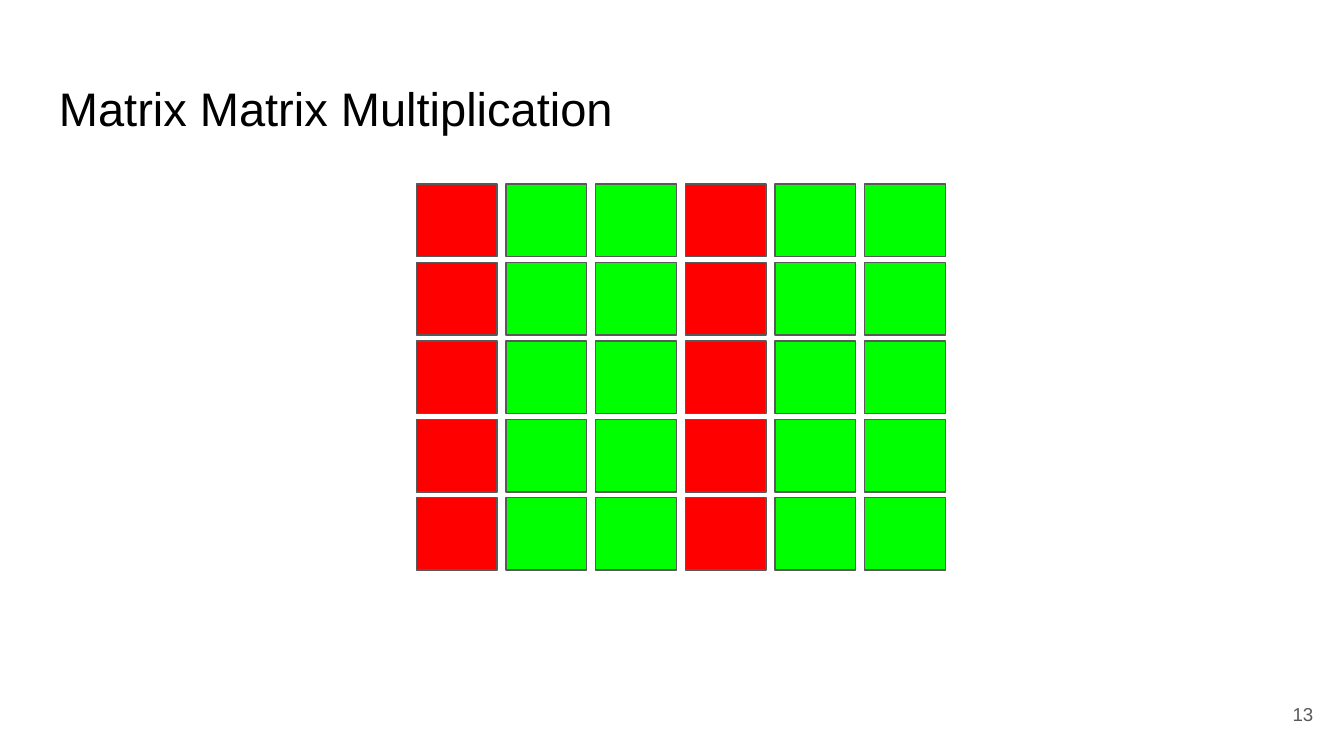
from itertools import product

from pptx import Presentation
from pptx.dml.color import RGBColor
from pptx.enum.shapes import MSO_SHAPE as Shape
from pptx.enum.text import MSO_ANCHOR as Anchor, PP_ALIGN as Align
from pptx.util import Inches, Pt

RED, GREEN, GRAY, BLACK = "FF0000", "00FF00", "595959", "000000"
COLUMN_COLORS = [RED, GREEN, GREEN] * 2
ROWS = 5
LEFT, TOP = 3.1, 1.37
CELL_W, CELL_H = 0.6, 0.54
STEP_X, STEP_Y = 2 / 3, 7 / 12


def rgb(color):
    return RGBColor.from_string(color)


def set_all(obj, values):
    for name, value in values.items():
        setattr(obj, name, value)


def add_text(slide, box, text, size, color, align=Align.LEFT, anchor=Anchor.TOP):
    tf = slide.shapes.add_textbox(*map(Inches, box)).text_frame
    sides = ("left", "top", "right", "bottom")
    set_all(tf, {f"margin_{side}": Inches(0.1) for side in sides})
    set_all(tf, {"word_wrap": True, "vertical_anchor": anchor})
    p = tf.paragraphs[0]
    p.alignment = align
    r = p.add_run()
    r.text = text
    set_all(r.font, {"name": "Arial", "size": Pt(size)})
    r.font.color.rgb = rgb(color)


def add_cell(slide, row, col):
    box = (LEFT + col * STEP_X, TOP + row * STEP_Y, CELL_W, CELL_H)
    sp = slide.shapes.add_shape(Shape.RECTANGLE, *map(Inches, box))
    sp.shadow.inherit = False
    sp.fill.solid()
    sp.fill.fore_color.rgb = rgb(COLUMN_COLORS[col])
    sp.line.color.rgb = rgb(GRAY)
    sp.line.width = Pt(0.75)


def main():
    prs = Presentation()
    set_all(prs, {"slide_width": Inches(10), "slide_height": Inches(10 * 9 / 16)})
    s = prs.slides.add_slide(prs.slide_layouts[6])
    add_text(s, (0.34, 0.49, 9.32, 0.63), "Matrix Matrix Multiplication", 25.2, BLACK)
    for col, row in product(range(len(COLUMN_COLORS)), range(ROWS)):
        add_cell(s, row, col)
    add_text(s, (9.27, 5.1, 0.6, 0.43), "13", 10, GRAY, Align.RIGHT, Anchor.MIDDLE)
    prs.save("out.pptx")


if __name__ == "__main__":
    main()
